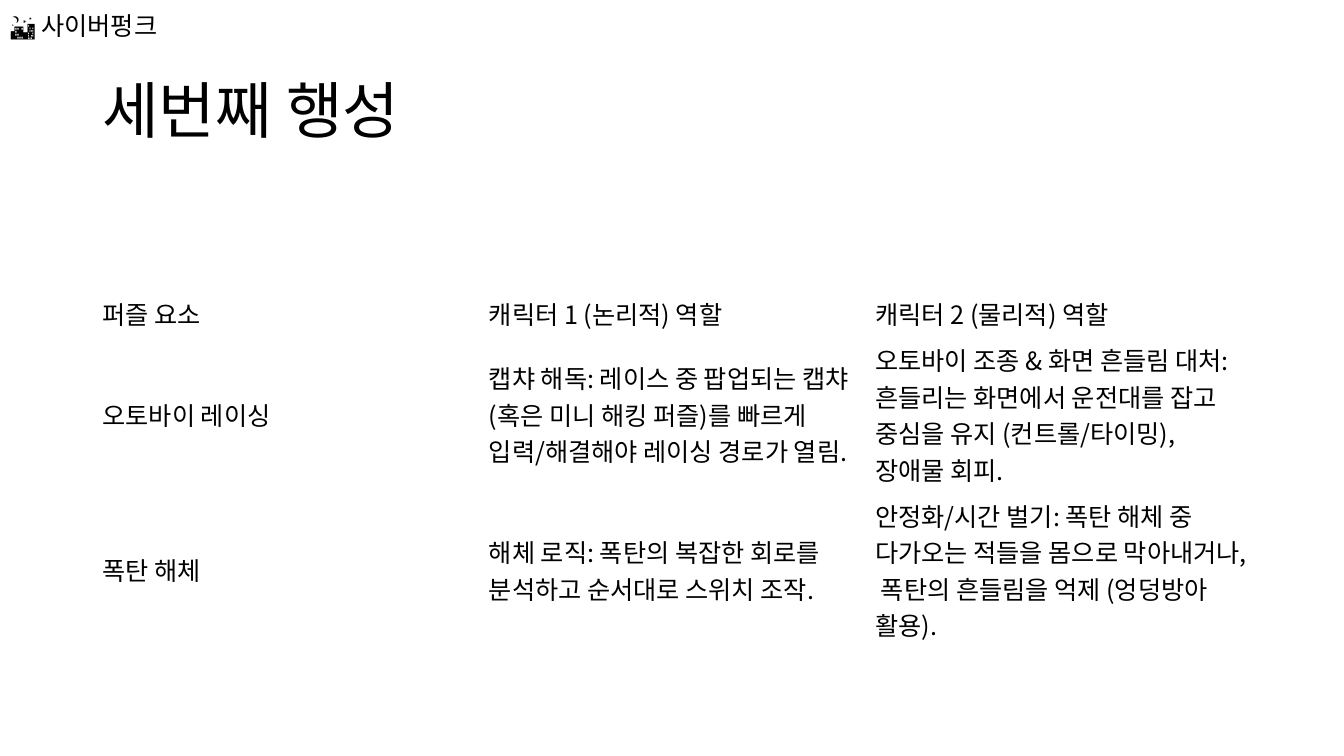
from lxml import etree
from pptx import Presentation
from pptx import util as u
from pptx.dml import color
from pptx.enum import text
from pptx.oxml import ns

KOREAN = "Noto Sans CJK KR"


def rgb(value):
    return color.RGBColor.from_string(value)


class SlideBuilder:
    ink = "000000"
    body_size = 18

    def __init__(self, slide):
        self.slide = slide

    def add_words(self, paragraph, content, size, font=KOREAN):
        run = paragraph.add_run()
        run.text = content
        for name, value in {"size": u.Pt(size), "name": font, "bold": False}.items():
            setattr(run.font, name, value)
        run.font.color.rgb = rgb(self.ink)
        # Hangul takes its typeface from the East Asian slot
        properties = run._r.get_or_add_rPr()
        east_asian = etree.SubElement(properties, ns.qn("a:ea"))
        east_asian.set("typeface", KOREAN)

    def text_box(self, box, content, size, font=KOREAN, spacing=1.0):
        shape = self.slide.shapes.add_textbox(*map(u.Cm, box))
        frame = shape.text_frame
        settings = {"word_wrap": True, "vertical_anchor": text.MSO_ANCHOR.MIDDLE}
        for name, value in settings.items():
            setattr(frame, name, value)
        frame.paragraphs[0].line_spacing = spacing
        self.add_words(frame.paragraphs[0], content, size, font)

    def table(self, box, rows, row_heights):
        shape = self.slide.shapes.add_table(len(rows), len(rows[0]), *map(u.Cm, box))
        table = shape.table
        for name, value in {"first_row": False, "horz_banding": False}.items():
            setattr(table, name, value)
        for row, height, contents in zip(table.rows, row_heights, rows):
            row.height = u.Cm(height)
            for cell, content in zip(row.cells, contents):
                cell.fill.background()
                cell.vertical_anchor = text.MSO_ANCHOR.MIDDLE
                self.add_words(cell.text_frame.paragraphs[0], content, self.body_size)


def main():
    presentation = Presentation()
    presentation.slide_width = u.Cm(33.87)
    presentation.slide_height = u.Cm(19.05)
    builder = SlideBuilder(presentation.slides.add_slide(presentation.slide_layouts[6]))

    # Title
    builder.text_box((2.33, 1.01, 29.21, 3.68), "세번째 행성", 44, spacing=0.9)

    # Puzzle roles
    roles = [
        ("퍼즐 요소", "캐릭터 1 (논리적) 역할", "캐릭터 2 (물리적) 역할"),
        ("오토바이 레이싱",
         "캡챠 해독: 레이스 중 팝업되는 캡챠 (혹은 미니 해킹 퍼즐)를 "
         "빠르게 입력/해결해야 레이싱 경로가 열림.",
         "오토바이 조종 & 화면 흔들림 대처: 흔들리는 화면에서 운전대를 "
         "잡고 중심을 유지 (컨트롤/타이밍), 장애물 회피."),
        ("폭탄 해체",
         "해체 로직: 폭탄의 복잡한 회로를 분석하고 순서대로 스위치 조작.",
         "안정화/시간 벌기: 폭탄 해체 중 다가오는 적들을 몸으로 "
         "막아내거나, 폭탄의 흔들림을 억제 (엉덩방아 활용)."),
    ]
    builder.table((2.33, 7.32, 29.21, 9), roles, (1.16, 3.92, 3.92))

    # Theme label
    builder.text_box((0, 0, 33.87, 1.27), "🌃 사이버펑크", builder.body_size, font="Arial")

    presentation.save("out.pptx")


if __name__ == "__main__":
    main()
